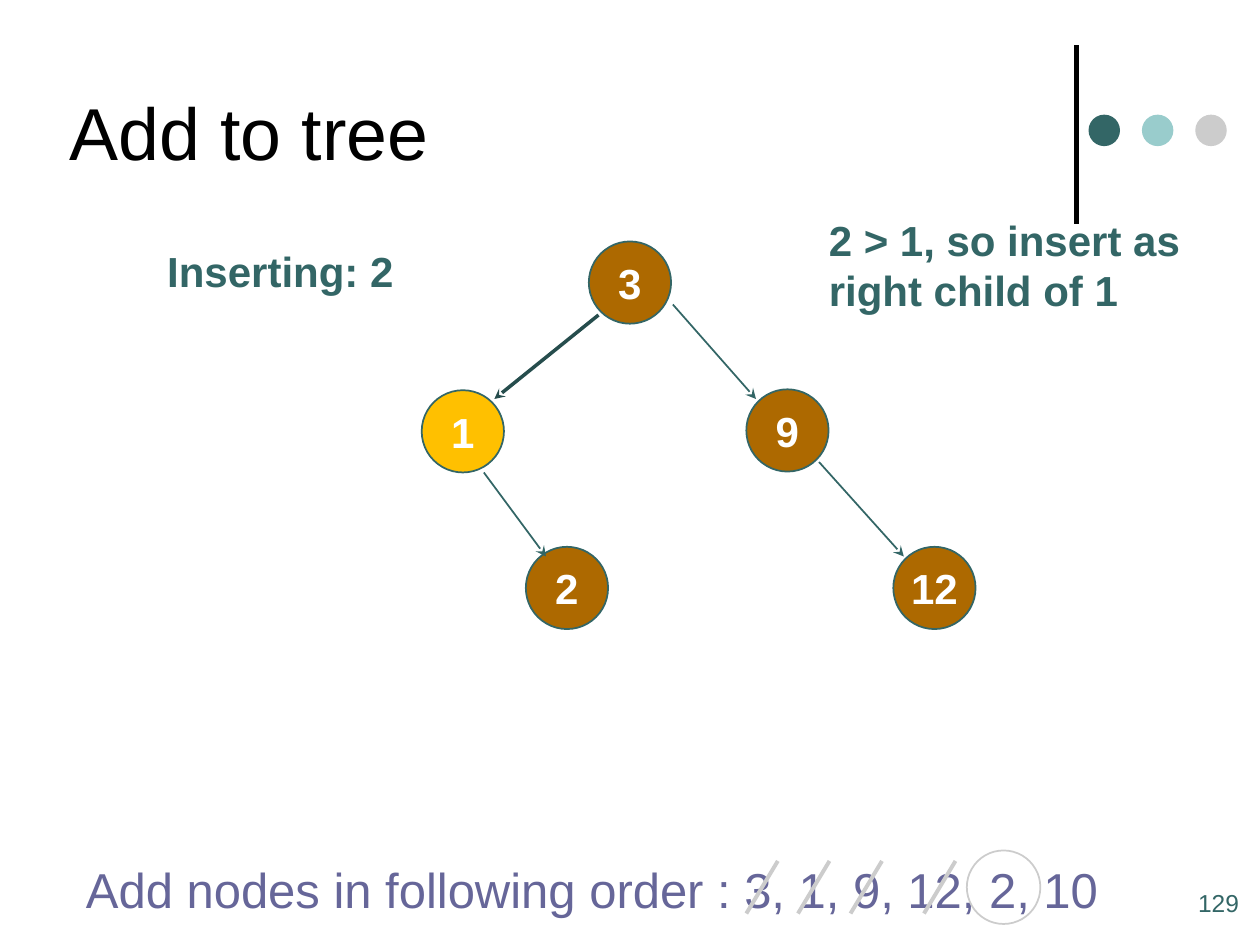
from lxml import etree
from pptx import Presentation
from pptx.dml.color import RGBColor
from pptx.enum.shapes import MSO_CONNECTOR as Connector, MSO_SHAPE as Shape
from pptx.enum.text import MSO_ANCHOR as Anchor, PP_ALIGN as Align
from pptx.oxml.ns import qn
from pptx.util import Pt

TEAL, DARK_TEAL, PALE_TEAL = "336666", "264D4D", "99CCCC"
GRAY, BLACK, WHITE, PURPLE = "CCCCCC", "000000", "FFFFFF", "666699"
BROWN, YELLOW = "AD6900", "FFC000"
NODE_SIZE = 47


def color(value):
    return RGBColor.from_string(value)


def write(shape, lines, size, text_color, bold=False, align=Align.LEFT):
    frame = shape.text_frame
    frame.text = "\n".join(lines)
    for paragraph in frame.paragraphs:
        paragraph.alignment = align
        font = paragraph.font
        font.name, font.size, font.bold = "Arial", Pt(size), bold
        font.color.rgb = color(text_color)
    return frame


def add_text(slide, box, lines, size, text_color, bold=False, wrap=False):
    shape = slide.shapes.add_textbox(*map(Pt, box))
    frame = write(shape, lines, size, text_color, bold)
    frame.word_wrap = wrap
    return frame


def add_circle(slide, left, top, size, fill=None, line=None):
    circle = slide.shapes.add_shape(Shape.OVAL, Pt(left), Pt(top), Pt(size), Pt(size))
    circle.shadow.inherit = False
    if fill:
        circle.fill.solid()
        circle.fill.fore_color.rgb = color(fill)
    else:
        circle.fill.background()
    if line:
        circle.line.color.rgb = color(line)
        circle.line.width = Pt(1)
    else:
        circle.line.fill.background()
    return circle


def add_line(slide, start, end, line_color, width, arrow=False):
    connector = slide.shapes.add_connector(Connector.STRAIGHT, *map(Pt, (*start, *end)))
    connector.line.color.rgb = color(line_color)
    connector.line.width = Pt(width)
    if arrow:
        line = connector.line._get_or_add_ln()
        etree.SubElement(line, qn("a:tailEnd"), type="stealth")
    etree.SubElement(connector._element.spPr, qn("a:effectLst"))


def add_decoration(slide, left, top, height):
    """Vertical rule with three dots to its right."""
    add_line(slide, (left, top + height), (left, top), BLACK, 3)
    for index, fill in enumerate((TEAL, PALE_TEAL, GRAY)):
        add_circle(slide, left + 7 + index * 30.5, top + 39.5, 18, fill)


def add_tree(slide, left, top):
    """Binary search tree; nodes and edges are relative to its corner."""
    nodes = [("3", 96, 0, BROWN), ("1", 0.5, 85, YELLOW), ("9", 186, 84.5, BROWN),
             ("12", 270, 174.5, BROWN), ("2", 60, 174.5, BROWN)]
    for label, x, y, fill in nodes:
        node = add_circle(slide, left + x, top + y, NODE_SIZE, fill, TEAL)
        frame = write(node, [label], 24, WHITE, True, Align.CENTER)
        frame.word_wrap = False
        frame.vertical_anchor = Anchor.MIDDLE

    edges = [((101.5, 42), (42, 90), DARK_TEAL, 2),
             ((144, 36), (191.5, 90), TEAL, 1),
             ((227.5, 126), (276, 180), TEAL, 1),
             ((36, 132), (71.5, 180), TEAL, 1)]
    for (x1, y1), (x2, y2), line_color, width in edges:
        add_line(slide, (left + x1, top + y1), (left + x2, top + y2),
                 line_color, width, arrow=True)


def add_order(slide, left, top, width, height):
    """Insertion order: used values struck out, current value circled."""
    add_text(slide, (left, top, width, height),
             ["Add nodes in following order : 3, 1, 9, 12, 2, 10"], 28, PURPLE)
    add_circle(slide, left + 510.5, top - 1.5, 42, line=GRAY)
    for x in (384.5, 414, 444, 486):
        add_line(slide, (left + x + 18, top + 4.5), (left + x, top + 34.5), GRAY, 2.25)


def main():
    presentation = Presentation()
    presentation.slide_width, presentation.slide_height = Pt(720), Pt(540)
    slide = presentation.slides.add_slide(presentation.slide_layouts[6])

    add_decoration(slide, 615, 26, 102)
    add_text(slide, (677.5, 504, 42.5, 36), ["129"], 14, TEAL)

    # Title
    title = add_text(slide, (32.5, 15, 552, 120), ["Add to tree"], 42, BLACK, wrap=True)
    title.vertical_anchor = Anchor.MIDDLE

    # Step notes
    add_text(slide, (88.5, 137, 144, 36), ["Inserting: 2"], 24, TEAL, True)
    add_text(slide, (466.5, 119, 215, 65),
             ["2 > 1, so insert as", "right child of 1"], 24, TEAL, True)

    add_tree(slide, 240.5, 138)
    add_order(slide, 42, 487.5, 610, 41)
    presentation.save("out.pptx")


if __name__ == "__main__":
    main()
